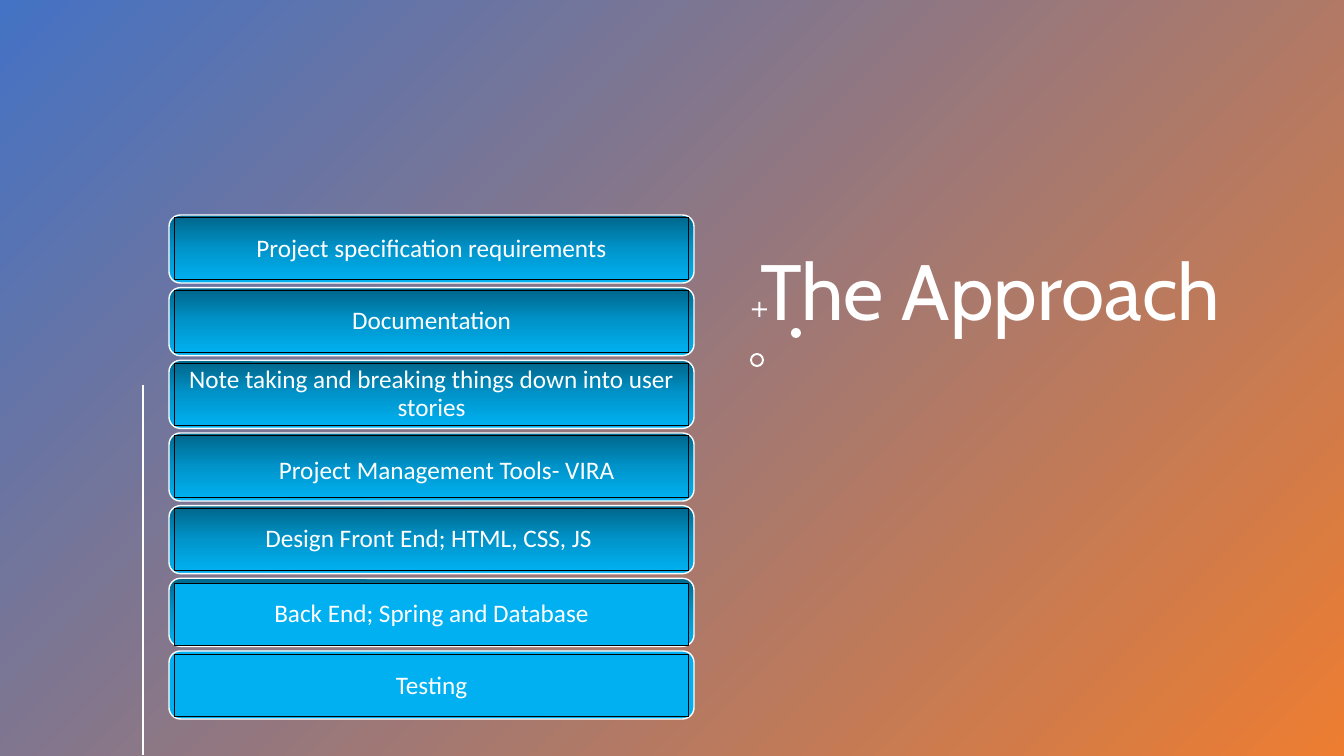
from copy import deepcopy

from lxml import etree
from pptx import Presentation
from pptx.dml.color import RGBColor
from pptx.enum.shapes import MSO_CONNECTOR, MSO_SHAPE
from pptx.enum.text import MSO_ANCHOR, MSO_AUTO_SIZE, PP_ALIGN
from pptx.oxml.ns import qn
from pptx.util import Pt

RECT, ROUND = MSO_SHAPE.RECTANGLE, MSO_SHAPE.ROUNDED_RECTANGLE
MIDDLE, BOTTOM = MSO_ANCHOR.MIDDLE, MSO_ANCHOR.BOTTOM
LEFT, CENTER = PP_ALIGN.LEFT, PP_ALIGN.CENTER

# Content
TITLE = "The Approach"
TOOLS = "Project Management Tools- VIRA"
WHITE, BLACK = "FFFFFF", "000000"
BACKDROP = ["4472C4", "ED7D31"]
SHADED = ["00688E", "0094CA", "00B0F0"]
FLAT = ["00B0F0"]
# text, frame colours, panel colours, panel offset in px
STEPS = [
    ("Project specification requirements", SHADED, SHADED, 3),
    ("Documentation", SHADED, SHADED, 3),
    ("Note taking and breaking things down into user stories", SHADED, SHADED, 3),
    ("", SHADED, SHADED, 3),
    ("Design Front End; HTML, CSS, JS ", SHADED, SHADED, 3),
    ("Back End; Spring and Database", SHADED, FLAT, 5),
    ("Testing", FLAT, FLAT, 4),
]
# preset, left, top, size, adjustment
ORNAMENTS = [
    (MSO_SHAPE.CROSS, 752, 302, 15, 0.43),
    (MSO_SHAPE.OVAL, 791, 328, 10, None),
    (MSO_SHAPE.DONUT, 750, 353, 14, 0.14),
]

# Layout in px
SLIDE_W, SLIDE_H = 1344, 756
FRAME_X, FRAME_W, FRAME_H = 169, 525, 68
FIRST_Y, LAST_Y = 215, 651
PITCH = (LAST_Y - FIRST_Y) / (len(STEPS) - 1)
PANEL_DX, PANEL_H, INSET = 5, 62, 11
PANEL_W = FRAME_W - 2 * PANEL_DX


def px(n):
    return round(n * 914400 / 100.8)


def rgb(color):
    return RGBColor.from_string(color)


def paint(fill, colors, angle):
    if len(colors) == 1:
        fill.solid()
        fill.fore_color.rgb = rgb(colors[0])
        return
    fill.gradient()
    fill.gradient_angle = angle
    first = fill.gradient_stops[0]._gs
    for _ in colors[2:]:
        first.addnext(deepcopy(first))
    for i, stop in enumerate(fill.gradient_stops):
        stop.color.rgb = rgb(colors[i])
        stop.position = i / (len(colors) - 1)


def add_box(preset, x, y, w, h, colors, line=None, weight=1, angle=270):
    sp = s.shapes.add_shape(preset, px(x), px(y), px(w), px(h))
    sp.shadow.inherit = False
    paint(sp.fill, colors, angle)
    if line:
        sp.line.color.rgb = rgb(line)
        sp.line.width = Pt(weight)
    else:
        sp.line.fill.background()
    return sp


def write(tf, text, size, font, align, spacing=0.9):
    p = tf.paragraphs[0]
    p.alignment = align
    p.line_spacing = spacing
    r = p.add_run()
    r.text = text
    r.font.size = Pt(size)
    r.font.name = font
    r.font.color.rgb = rgb(WHITE)


prs = Presentation()
prs.slide_width, prs.slide_height = px(SLIDE_W), px(SLIDE_H)
s = prs.slides.add_slide(prs.slide_layouts[5])

# Backdrop, sent behind the title
backdrop = add_box(RECT, 0, 0, SLIDE_W, SLIDE_H, BACKDROP, angle=315)
s.shapes._spTree.insert(2, backdrop._element)

# Title
title = s.shapes.title
title.left, title.top = px(750), px(30)
title.width, title.height = px(597), px(313)
tf = title.text_frame
tf.word_wrap = True
tf.auto_size = MSO_AUTO_SIZE.NONE
tf.vertical_anchor = BOTTOM
write(tf, TITLE, 56, "Cabin", LEFT)

# Ornaments beside the title
for preset, x, y, size, adjustment in ORNAMENTS:
    sp = add_box(preset, x, y, size, size, [WHITE])
    if adjustment:
        sp.adjustments[0] = adjustment

# Vertical rule
rule = s.shapes.add_connector(MSO_CONNECTOR.STRAIGHT, px(143), px(385), px(143), px(755))
rule.line.color.rgb = rgb(WHITE)
rule.line.width = Pt(2)
etree.SubElement(rule._element.spPr, qn("a:effectLst"))

# Steps: a rounded frame with a panel on it
for i, (text, frame_colors, panel_colors, dy) in enumerate(STEPS):
    y = FIRST_Y + i * PITCH
    add_box(ROUND, FRAME_X, y, FRAME_W, FRAME_H, frame_colors, WHITE)
    panel = add_box(RECT, FRAME_X + PANEL_DX, y + dy, PANEL_W, PANEL_H,
                    panel_colors, BLACK, 0.75)
    if text:
        tf = panel.text_frame
        tf.word_wrap = True
        tf.vertical_anchor = MIDDLE
        tf.margin_left = tf.margin_right = px(INSET)
        tf.margin_top = tf.margin_bottom = px(INSET)
        write(tf, text, 18, "Calibri", CENTER)

# Label of the fourth step
label = s.shapes.add_textbox(px(269), px(449), px(359), px(40))
label.text_frame.word_wrap = False
write(label.text_frame, TOOLS, 18, "Calibri", LEFT, 1.0)

prs.save("out.pptx")
